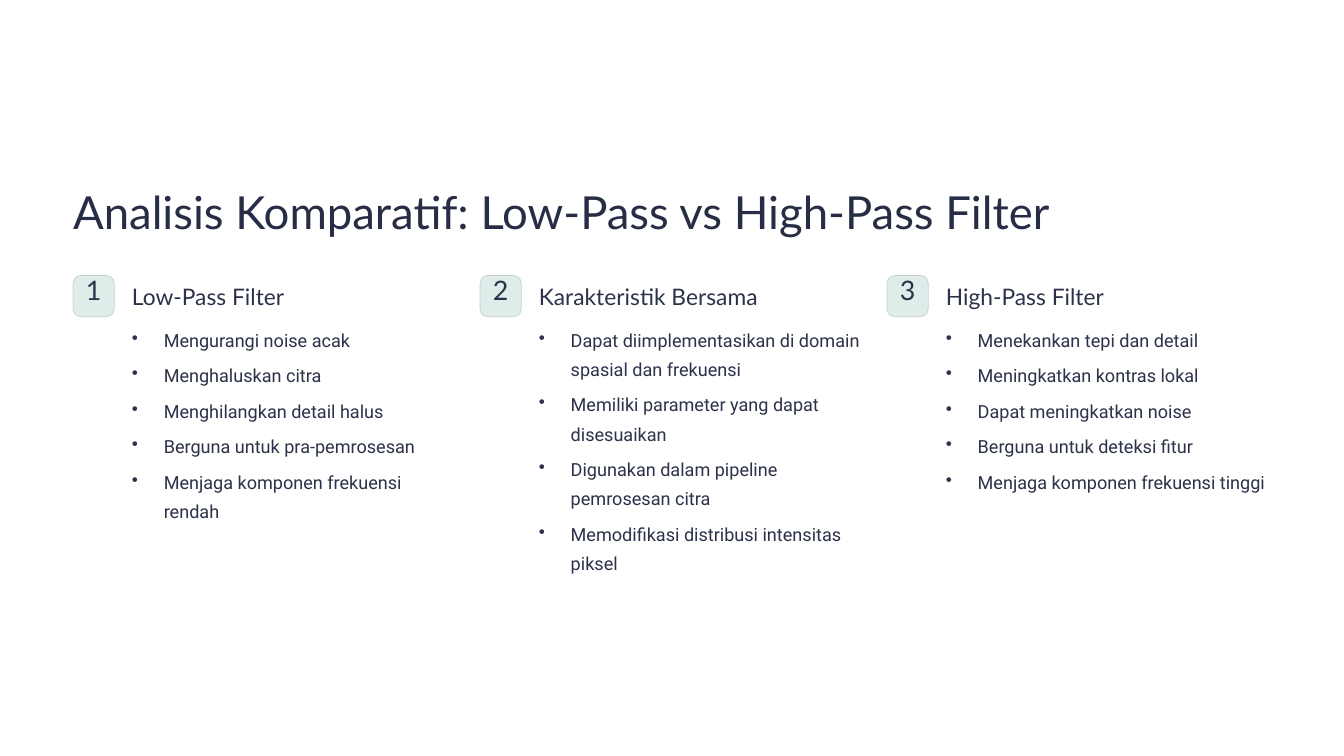
from lxml import etree
from pptx import Presentation
from pptx.dml.color import RGBColor
from pptx.enum.shapes import MSO_SHAPE as Shape
from pptx.enum.text import MSO_ANCHOR as Anchor, PP_ALIGN as Align
from pptx.oxml.ns import qn
from pptx.util import Inches, Pt

LEFT, COLUMN_STEP = 0.87, 4.845
BADGE_TOP, BADGE_SIZE = 3.28, 0.49
TEXT_INDENT = 0.7
LIST_INDENT = 0.38

TITLE = "Analisis Komparatif: Low-Pass vs High-Pass Filter"
COLUMNS = [
    ("Low-Pass Filter", [
        "Mengurangi noise acak",
        "Menghaluskan citra",
        "Menghilangkan detail halus",
        "Berguna untuk pra-pemrosesan",
        "Menjaga komponen frekuensi rendah",
    ]),
    ("Karakteristik Bersama", [
        "Dapat diimplementasikan di domain spasial dan frekuensi",
        "Memiliki parameter yang dapat disesuaikan",
        "Digunakan dalam pipeline pemrosesan citra",
        "Memodifikasi distribusi intensitas piksel",
    ]),
    ("High-Pass Filter", [
        "Menekankan tepi dan detail",
        "Meningkatkan kontras lokal",
        "Dapat meningkatkan noise",
        "Berguna untuk deteksi fitur",
        "Menjaga komponen frekuensi tinggi",
    ]),
]


def color(value):
    return RGBColor.from_string(value)


class ComparisonSlide:
    HEADING_FONT, BODY_FONT = "Lato", "Roboto"
    TITLE_COLOR, TEXT_COLOR = "272D45", "2C3249"
    BADGE_FILL, BADGE_LINE = "DFECE9", "C5D2CF"
    BACKGROUND = "FFFFFF"

    def __init__(self, deck):
        self.slide = deck.slides.add_slide(deck.slide_layouts[6])
        fill = self.slide.background.fill
        fill.solid()
        fill.fore_color.rgb = color(self.BACKGROUND)

    def prepare_frame(self, shape, wrap=True, top=0):
        frame = shape.text_frame
        frame.word_wrap = wrap
        frame.vertical_anchor = Anchor.TOP
        frame.margin_left = frame.margin_right = frame.margin_bottom = 0
        frame.margin_top = Inches(top)
        return frame

    def add_text(self, paragraph, text, size, spacing, font, ink=TEXT_COLOR):
        paragraph.line_spacing = Pt(spacing)
        run = paragraph.add_run()
        run.text = text
        run.font.size = Pt(size)
        run.font.name = font
        run.font.color.rgb = color(ink)

    def text_box(self, left, top, width, height, wrap=True):
        box = self.slide.shapes.add_textbox(
            Inches(left), Inches(top), Inches(width), Inches(height))
        return self.prepare_frame(box, wrap)

    def title(self, text):
        frame = self.text_box(LEFT, 2.17, 11.7, 0.68, wrap=False)
        self.add_text(frame.paragraphs[0], text, 39, 48.5,
                      self.HEADING_FONT, self.TITLE_COLOR)

    def badge(self, left, number):
        badge = self.slide.shapes.add_shape(
            Shape.ROUNDED_RECTANGLE, Inches(left), Inches(BADGE_TOP),
            Inches(BADGE_SIZE), Inches(BADGE_SIZE))
        badge.adjustments[0] = 0.187
        badge.shadow.inherit = False
        badge.fill.solid()
        badge.fill.fore_color.rgb = color(self.BADGE_FILL)
        badge.line.color.rgb = color(self.BADGE_LINE)
        badge.line.width = Pt(0.6)
        paragraph = self.prepare_frame(badge, top=0.01).paragraphs[0]
        paragraph.alignment = Align.CENTER
        self.add_text(paragraph, str(number), 23, 23, self.HEADING_FONT)

    def heading(self, left, text):
        frame = self.text_box(left, 3.36, 2.71, 0.34, wrap=False)
        self.add_text(frame.paragraphs[0], text, 19.5, 24, self.HEADING_FONT)

    def bullet_list(self, left, items):
        frame = self.text_box(left, 3.83, 3.87, 3)
        for index, item in enumerate(items):
            paragraph = frame.add_paragraph() if index else frame.paragraphs[0]
            properties = paragraph._p.get_or_add_pPr()
            properties.set("marL", str(Inches(LIST_INDENT)))
            properties.set("indent", str(-Inches(LIST_INDENT)))
            etree.SubElement(properties, qn("a:buChar")).set("char", "•")
            if index:
                paragraph.space_before = Pt(5.4)
            self.add_text(paragraph, item, 15.5, 25, self.BODY_FONT)


def main():
    deck = Presentation()
    deck.slide_width, deck.slide_height = Inches(16), Inches(9)
    slide = ComparisonSlide(deck)
    slide.title(TITLE)
    for index, (heading, items) in enumerate(COLUMNS):
        left = LEFT + index * COLUMN_STEP
        slide.badge(left, index + 1)
        slide.heading(left + TEXT_INDENT, heading)
        slide.bullet_list(left + TEXT_INDENT, items)
    deck.save("out.pptx")


if __name__ == "__main__":
    main()
